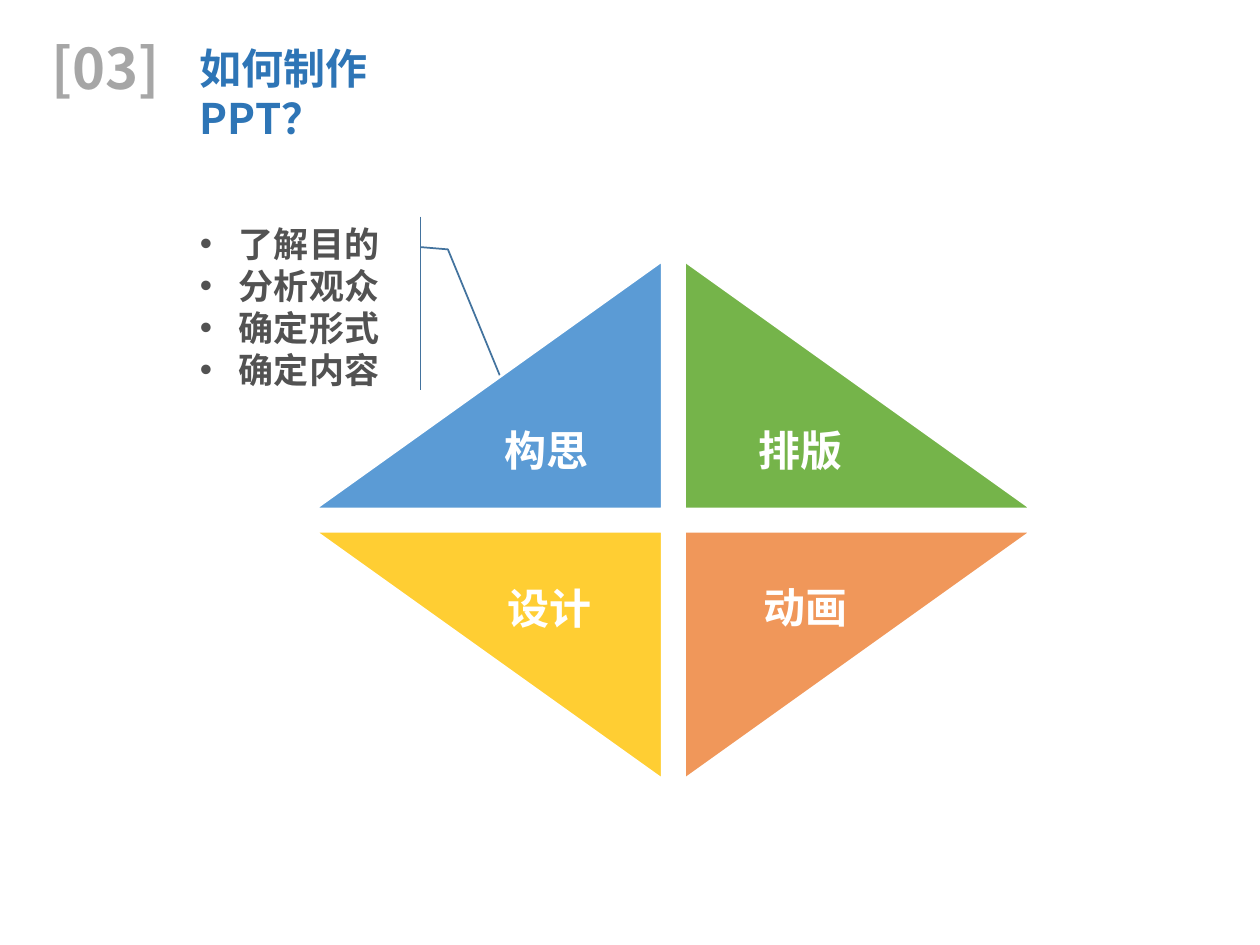
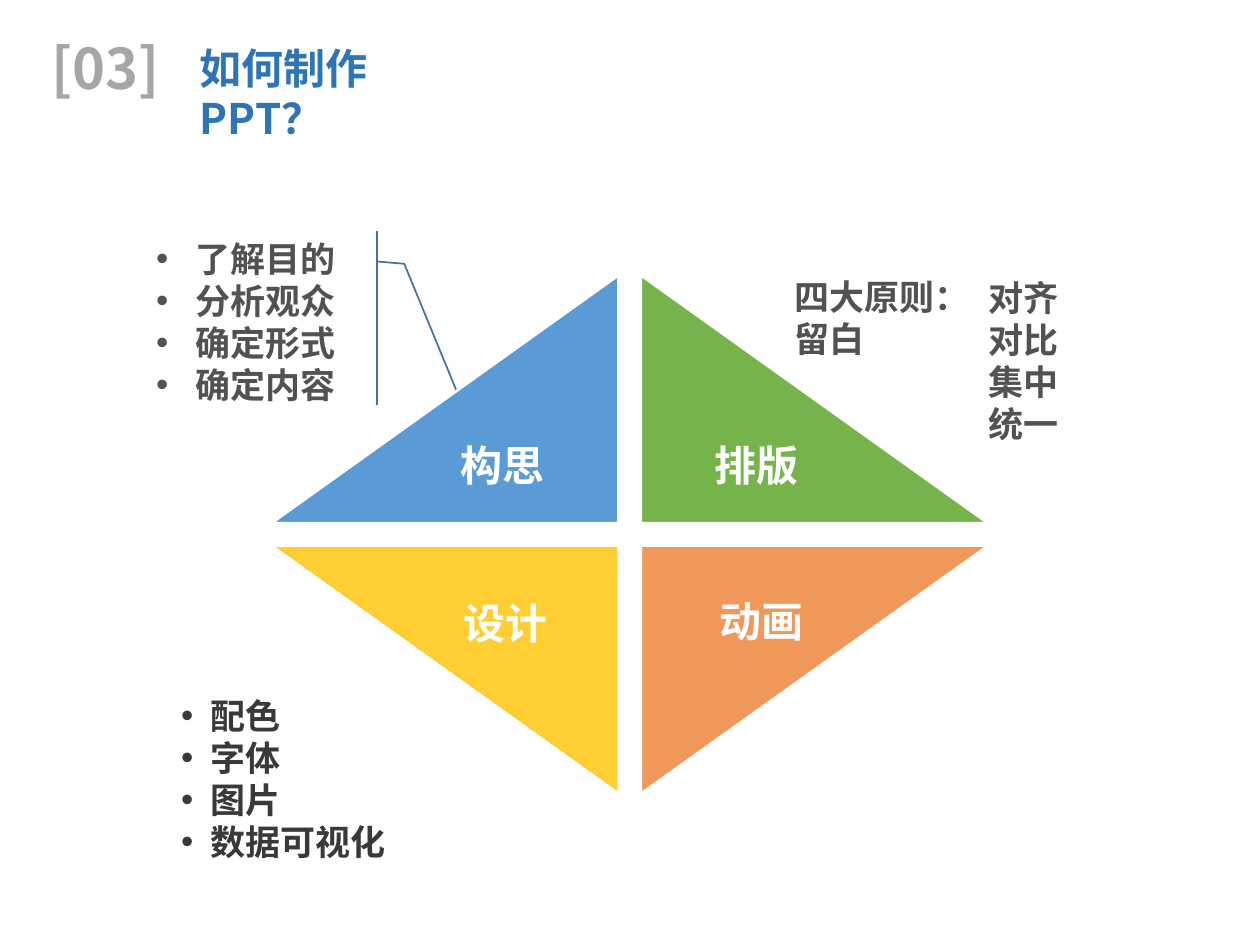
from lxml.etree import SubElement
from pptx import Presentation
from pptx.dml.color import RGBColor
from pptx.enum.shapes import MSO_SHAPE
from pptx.enum.text import MSO_ANCHOR, MSO_AUTO_SIZE, PP_ALIGN
from pptx.oxml.ns import qn
from pptx.util import Cm, Pt

# Shared style
CJK_FONT, LIST_FONT = "Noto Sans CJK SC", "Calibri"
WHITE, GREY, DARK, OUTLINE = "FFFFFF", "525252", "3B3838", "43739E"
TITLE_BLUE, NUMBER_GREY = "2E75B6", "A6A6A6"
BLUE, GREEN, YELLOW, ORANGE = "5B9BD5", "75B44A", "FFCE33", "F0975A"
LINE_FACTOR = 1.2

# Diamond grid, in centimetres
TRIANGLE_WIDTH, TRIANGLE_HEIGHT, GAP = 7, 5, 0.45

PLANNING_STEPS = ["了解目的", "分析观众", "确定形式", "确定内容"]
DESIGN_TOPICS = ["配色", "字体", "图片", "数据可视化"]
LAYOUT_PRINCIPLES = ["对齐", "对比", "集中", "统一"]


def color(hex_string):
    return RGBColor.from_string(hex_string)


class Deck:
    def __init__(self):
        self.presentation = Presentation()
        self.presentation.slide_width = Cm(25.4)
        self.presentation.slide_height = Cm(19.05)
        self.slide = None

    def fill_text(self, shape, lines, size, hex_color, font=CJK_FONT, align=PP_ALIGN.LEFT,
                  anchor=MSO_ANCHOR.MIDDLE, hanging=None, right=0.25, bottom=0.06):
        """Fill a shape with one paragraph per line; hanging turns on bullets."""
        frame = shape.text_frame
        frame.word_wrap = True
        frame.auto_size = MSO_AUTO_SIZE.NONE
        frame.vertical_anchor = anchor
        frame.margin_left, frame.margin_right = Cm(0.25), Cm(right)
        frame.margin_top, frame.margin_bottom = Cm(0.19), Cm(bottom)
        for index, line in enumerate(lines):
            paragraph = frame.add_paragraph() if index else frame.paragraphs[0]
            if hanging is not None:
                properties = paragraph._p.get_or_add_pPr()
                properties.set("marL", str(Cm(0.79)))
                properties.set("indent", str(-Cm(hanging)))
                SubElement(properties, qn("a:buFont"), typeface="Arial")
                SubElement(properties, qn("a:buChar"), char="•")
            paragraph.alignment = align
            paragraph.line_spacing = Pt(size * LINE_FACTOR)
            run = paragraph.add_run()
            run.text = line
            run.font.size, run.font.bold = Pt(size), True
            run.font.color.rgb = color(hex_color)
            run.font.name = font
            SubElement(run._r.get_or_add_rPr(), qn("a:ea"), typeface=CJK_FONT)

    def text(self, left, top, width, height, lines, size, hex_color, **style):
        box = self.slide.shapes.add_textbox(Cm(left), Cm(top), Cm(width), Cm(height))
        self.fill_text(box, lines, size, hex_color, **style)

    def shape(self, kind, left, top, width, height, fill, line=WHITE, line_width=1.5,
              flipped=False, rotation=0):
        shape = self.slide.shapes.add_shape(kind, Cm(left), Cm(top), Cm(width), Cm(height))
        shape.shadow.inherit = False
        if fill:
            shape.fill.solid()
            shape.fill.fore_color.rgb = color(fill)
        else:
            shape.fill.background()
        shape.line.color.rgb = color(line)
        shape.line.width = Pt(line_width)
        shape.rotation = rotation
        if flipped:
            shape._element.spPr.get_or_add_xfrm().set("flipH", "1")
        return shape

    def start_slide(self):
        layout = self.presentation.slide_layouts.get_by_name("Title Only")
        self.slide = self.presentation.slides.add_slide(layout)
        title = self.slide.shapes.title
        title.left, title.top, title.width, title.height = Cm(3.78), Cm(0.66), Cm(6.45), Cm(1.27)
        self.fill_text(title, ["如何制作PPT？"], 24, TITLE_BLUE, anchor=MSO_ANCHOR.TOP, right=1)
        self.text(0.79, -0.3, 9.75, 3.18, ["[03]"], 32, NUMBER_GREY)

    def callout(self, left, top):
        callout = self.shape(MSO_SHAPE.LINE_CALLOUT_2_ACCENT_BAR, left, top, 4.5, 3.5,
                             WHITE, OUTLINE, 1, flipped=True)
        for index, value in enumerate([0.175, -0.044, 0.188, -0.167, 1.125, -0.467]):
            callout.adjustments[index] = value
        self.fill_text(callout, PLANNING_STEPS, 20, GREY, font=LIST_FONT, hanging=0.79)

    def diamond(self, left, top):
        """Draw four triangles and the planning callout from the top left corner."""
        self.callout(left - 2.57, top - 0.89)
        # column, row, fill, flipped, label inside the triangle
        quarters = [(0, 0, BLUE, True, "构思"), (1, 0, GREEN, False, "排版"),
                    (0, 1, YELLOW, False, None), (1, 1, ORANGE, True, None)]
        for column, row, fill, flipped, label in quarters:
            triangle = self.shape(MSO_SHAPE.RIGHT_TRIANGLE,
                                  left + column * (TRIANGLE_WIDTH + GAP),
                                  top + row * (TRIANGLE_HEIGHT + GAP),
                                  TRIANGLE_WIDTH, TRIANGLE_HEIGHT, fill,
                                  flipped=flipped, rotation=180 * row)
            if label:
                self.fill_text(triangle, [label], 24, WHITE, align=PP_ALIGN.CENTER)
        # The turned triangles carry upright labels in text boxes
        for label, across, down in [("设计", 3.63, 6.3), ("动画", 8.79, 6.27)]:
            self.text(left + across, top + down, 2.39, 1.27, [label], 24, WHITE,
                      anchor=MSO_ANCHOR.TOP)


def main():
    deck = Deck()

    # Slide 1: four steps, planning explained
    deck.start_slide()
    deck.diamond(6.35, 5.26)

    # Slide 2: design and layout added
    deck.start_slide()
    topics = deck.shape(MSO_SHAPE.RECTANGLE, 3.2, 13.08, 6.48, 5.08, None)
    deck.fill_text(topics, DESIGN_TOPICS, 20, DARK, font=LIST_FONT, hanging=0.59)
    deck.diamond(5.47, 5.55)
    deck.text(15.77, 5.54, 9.75, 1.6, ["四大原则：", "留白"], 20, GREY, font=LIST_FONT)
    deck.text(19.08, 4.47, 3.12, 6.3, LAYOUT_PRINCIPLES, 20, GREY, font=LIST_FONT,
              align=PP_ALIGN.CENTER, bottom=0.91)

    deck.presentation.save("out.pptx")


if __name__ == "__main__":
    main()
